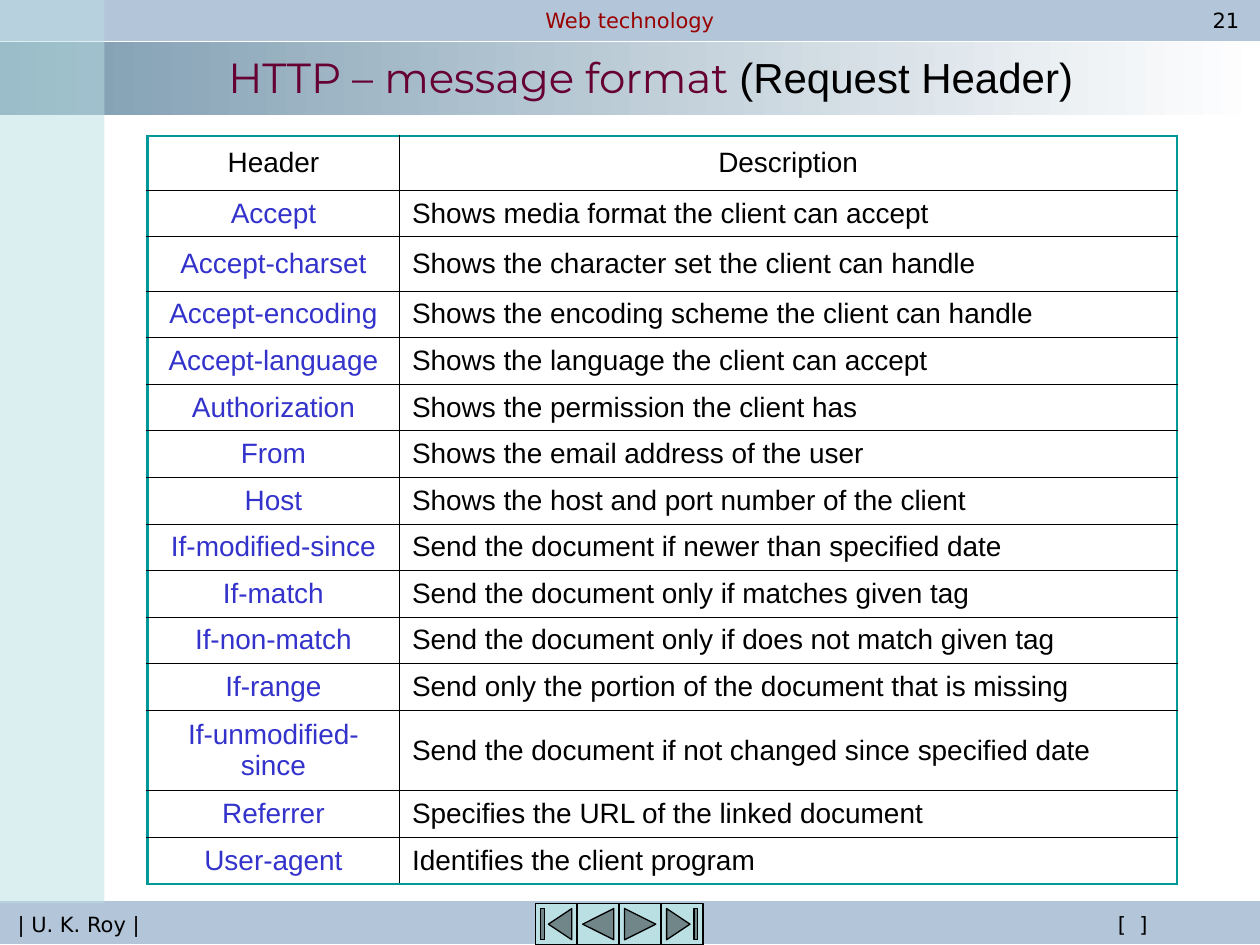
"""Build the HTTP request header slide of a web technology lecture."""
from lxml import etree
from pptx import Presentation
from pptx.dml.color import RGBColor
from pptx.enum.shapes import MSO_SHAPE
from pptx.enum.text import MSO_ANCHOR, PP_ALIGN
from pptx.oxml import parse_xml
from pptx.oxml.ns import nsdecls, qn
from pptx.util import Inches, Pt

RECT = MSO_SHAPE.RECTANGLE
CENTER, LEFT = PP_ALIGN.CENTER, PP_ALIGN.LEFT
MIDDLE = MSO_ANCHOR.MIDDLE

COLORS = {
    "band": "B3C5D9", "grad": "7C9BB0", "white": "FFFFFF", "aqua": "BBE0E3",
    "black": "000000", "red": "990000", "plum": "660033", "blue": "3333CC",
    "teal": "009999", "shadow": "808080",
}
TITLE = [("HTTP – message format ", "Montserrat", "plum"),
         ("(Request Header)", "Arial", "black")]
LABELS = [
    ("Web technology", "red", (3.5, 0, 3, 0.32), False),
    ("21", "black", (9.48, 0, 0.5, 0.32), False),
    ("| U. K. Roy |", "black", (0, 7.17, 1.25, 0.32), False),
    ("[  ]", "black", (8, 7.17, 1.98, 0.32), True),
]
BUTTONS = [MSO_SHAPE.ACTION_BUTTON_BEGINNING,
           MSO_SHAPE.ACTION_BUTTON_BACK_OR_PREVIOUS,
           MSO_SHAPE.ACTION_BUTTON_FORWARD_OR_NEXT,
           MSO_SHAPE.ACTION_BUTTON_END]
HEADERS = [
    ("Header", "Description"),
    ("Accept", "Shows media format the client can accept"),
    ("Accept-charset", "Shows the character set the client can handle"),
    ("Accept-encoding", "Shows the encoding scheme the client can handle"),
    ("Accept-language", "Shows the language the client can accept"),
    ("Authorization", "Shows the permission the client has"),
    ("From", "Shows the email address of the user"),
    ("Host", "Shows the host and port number of the client"),
    ("If-modified-since", "Send the document if newer than specified date"),
    ("If-match", "Send the document only if matches given tag"),
    ("If-non-match", "Send the document only if does not match given tag"),
    ("If-range", "Send only the portion of the document that is missing"),
    ("If-unmodified-since", "Send the document if not changed since specified date"),
    ("Referrer", "Specifies the URL of the linked document"),
    ("User-agent", "Identifies the client program"),
]
COL_WIDTHS = [2, 6.17]
ROW_HEIGHT = 0.37
TALL_ROWS = {0: 0.43, 2: 0.43, 12: 0.64}


def rgb(name):
    return RGBColor.from_string(COLORS[name])


def format_run(r, size, font, color, shadow=False):
    r.font.size, r.font.name = Pt(size), font
    r.font.color.rgb = rgb(color)
    if shadow:
        r.font.fill._xPr.find(qn("a:solidFill")).addnext(parse_xml(
            f'<a:effectLst {nsdecls("a")}><a:outerShdw dist="17961" dir="2700000">'
            f'<a:srgbClr val="{COLORS["shadow"]}"/></a:outerShdw></a:effectLst>'))


def add_panel(slide, kind, box, fill, line=None):
    s = slide.shapes.add_shape(kind, *map(Inches, box))
    s.shadow.inherit = False
    s.fill.solid()
    s.fill.fore_color.rgb = rgb(fill)
    if line:
        s.line.color.rgb, s.line.width = rgb(line), Pt(0.75)
    else:
        s.line.fill.background()
    return s


def add_text(slide, box, runs, size, shadow):
    tf = slide.shapes.add_textbox(*map(Inches, box)).text_frame
    tf.word_wrap, tf.vertical_anchor = True, MIDDLE
    p = tf.paragraphs[0]
    p.alignment = CENTER
    for text, font, color in runs:
        r = p.add_run()
        r.text = text
        format_run(r, size, font, color, shadow)


def set_borders(cell, outer):
    tc_pr = cell._tc.get_or_add_tcPr()
    for i, side in enumerate("LRTB"):
        color, width = ("teal", 1.47) if side in outer else ("black", 0.45)
        tc_pr.insert(i, parse_xml(
            f'<a:ln{side} {nsdecls("a")} w="{Pt(width)}"><a:solidFill>'
            f'<a:srgbClr val="{COLORS[color]}"/></a:solidFill></a:ln{side}>'))


def add_background(slide):
    title_band = add_panel(slide, RECT, (0, 0.33, 10, 0.58), "grad")
    title_band.fill.gradient()
    title_band.fill.gradient_angle = 0
    for stop, color in zip(title_band.fill.gradient_stops, ("grad", "white")):
        stop.color.rgb = rgb(color)
    for top, height in ((0, 0.32), (7.16, 0.33)):
        add_panel(slide, RECT, (0, top, 10, height), "band", "band")
    for i, kind in enumerate(BUTTONS):
        add_panel(slide, kind, (4.25 + i / 3, 7.17, 0.33, 0.33), "aqua", "black")
    side = add_panel(slide, RECT, (0, 0, 0.83, 7.17), "aqua")
    color = side.fill._xPr.find(qn("a:solidFill"))[0]
    etree.SubElement(color, qn("a:alpha"), val="50000")


def add_header_table(slide):
    heights = [TALL_ROWS.get(i, ROW_HEIGHT) for i in range(len(HEADERS))]
    table = slide.shapes.add_table(
        len(HEADERS), 2, Inches(1.17), Inches(1.08),
        Inches(sum(COL_WIDTHS)), Inches(sum(heights))).table
    table.first_row = table.horz_banding = False
    for col, width in zip(table.columns, COL_WIDTHS):
        col.width = Inches(width)
    for i, (texts, height) in enumerate(zip(HEADERS, heights)):
        table.rows[i].height = Inches(height)
        for j, text in enumerate(texts):
            cell = table.cell(i, j)
            cell.text_frame.text = text
            cell.vertical_anchor = MIDDLE
            cell.fill.background()
            p = cell.text_frame.paragraphs[0]
            p.alignment = CENTER if i == 0 or j == 0 else LEFT
            format_run(p.runs[0], 16, "Arial", "blue" if i and j == 0 else "black")
            edge = "T" if i == 0 else "B" if i == len(HEADERS) - 1 else ""
            set_borders(cell, "LR"[j] + edge)


def main():
    prs = Presentation()
    prs.slide_width, prs.slide_height = Inches(10), Inches(7.5)
    slide = prs.slides.add_slide(prs.slide_layouts[6])
    add_background(slide)
    for text, color, box, shadow in LABELS:
        add_text(slide, box, [(text, "DejaVu Sans", color)], 12, shadow)
    add_text(slide, (0.83, 0.13, 8.67, 0.95), TITLE, 24, True)
    add_header_table(slide)
    prs.save("out.pptx")


if __name__ == "__main__":
    main()
